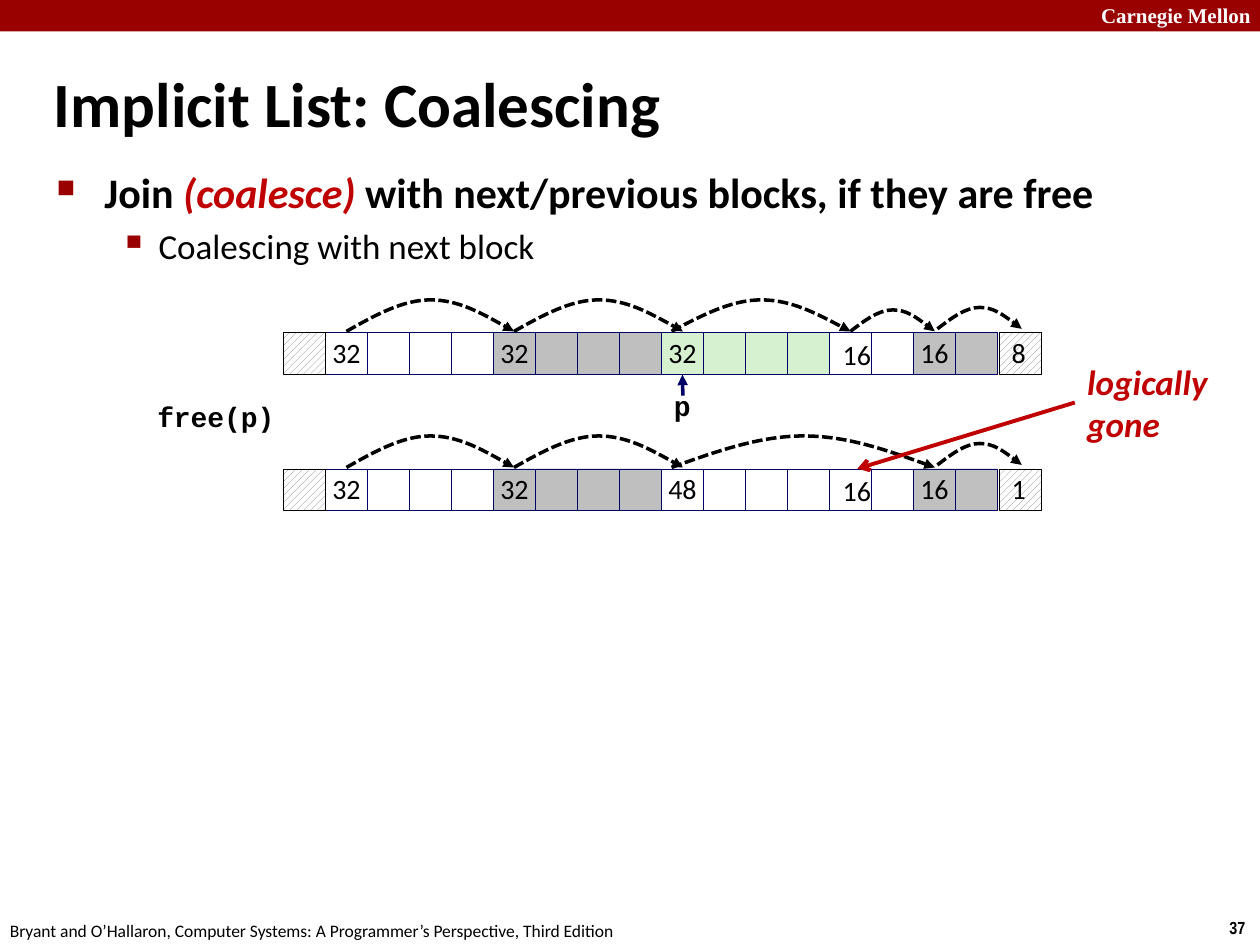
from lxml.etree import SubElement
from pptx import Presentation
from pptx.dml.color import RGBColor
from pptx.enum.dml import MSO_LINE, MSO_PATTERN
from pptx.enum.shapes import MSO_CONNECTOR, MSO_SHAPE
from pptx.enum.text import MSO_ANCHOR, MSO_AUTO_SIZE, PP_ALIGN
from pptx.oxml.ns import qn
from pptx.util import Inches, Pt

COLORS = {
    "banner": "990000", "accent": "C00000", "navy": "000066", "black": "000000",
    "white": "FFFFFF", "gray": "BFBFBF", "silver": "C0C0C0", "green": "D5F1CF",
    "hatch": "808080",
}
CELL = 1 / 3
FIRST_CELL = 2.583
CELL_FILLS = ["white"] * 4 + ["gray"] * 4 + ["green"] * 4 + ["white"] * 2 + ["silver"] * 2


class HeapSlide:
    """Draws the elements of a heap diagram in one style on the current slide."""

    def __init__(self, slide):
        self.shapes = slide.shapes

    def color(self, name):
        return RGBColor.from_string(COLORS[name])

    def format_span(self, span, size, font="Calibri", color="black", bold=False, italic=False):
        span.font.size = Pt(size)
        span.font.name = font
        span.font.color.rgb = self.color(color)
        span.font.bold = bold
        span.font.italic = italic

    def text(self, left, top, width, height, words, size, wrap=False, grow=True,
             anchor=MSO_ANCHOR.TOP, spacing=None, **style):
        box = self.shapes.add_textbox(Inches(left), Inches(top), Inches(width), Inches(height))
        frame = box.text_frame
        frame.text = words
        frame.word_wrap = wrap
        frame.auto_size = MSO_AUTO_SIZE.SHAPE_TO_FIT_TEXT if grow else MSO_AUTO_SIZE.NONE
        frame.vertical_anchor = anchor
        for para in frame.paragraphs:
            para.line_spacing = spacing
            for span in para.runs:
                self.format_span(span, size, **style)
        return box

    def bullet(self, para, symbol, percent, margin, indent, level):
        properties = para._p.get_or_add_pPr()
        properties.set("marL", str(Inches(margin)))
        properties.set("indent", str(Inches(indent)))
        bullet_color = SubElement(properties, qn("a:buClr"))
        SubElement(bullet_color, qn("a:srgbClr"), val=COLORS["banner"])
        SubElement(properties, qn("a:buSzPct"), val=str(percent * 1000))
        SubElement(properties, qn("a:buChar"), char=symbol)
        para.level = level

    def body(self):
        box = self.shapes.add_textbox(Inches(0.35), Inches(1.34), Inches(9.09), Inches(6))
        frame = box.text_frame
        frame.word_wrap = True
        main = frame.paragraphs[0]
        self.bullet(main, "■", 60, 0.38, -0.38, 0)
        main.line_spacing = 0.83
        for words, emphasis in (("Join ", False), ("(coalesce) ", True),
                                ("with next/previous blocks, if they are free", False)):
            span = main.add_run()
            span.text = words
            self.format_span(span, 24, color="accent" if emphasis else "black",
                             bold=True, italic=emphasis)
        detail = frame.add_paragraph()
        self.bullet(detail, "▪", 110, 0.81, -0.31, 1)
        detail.line_spacing = 0.88
        detail.space_before = Pt(7.5)
        span = detail.add_run()
        span.text = "Coalescing with next block"
        self.format_span(span, 20)

    def rectangle(self, left, top, width, height, fill, line=None, words="",
                  align=PP_ALIGN.CENTER, hatched=False):
        shape = self.shapes.add_shape(MSO_SHAPE.RECTANGLE, Inches(left), Inches(top),
                                      Inches(width), Inches(height))
        shape.shadow.inherit = False
        if hatched:
            shape.fill.patterned()
            shape.fill.pattern = MSO_PATTERN.WIDE_UPWARD_DIAGONAL
            shape.fill.fore_color.rgb = self.color("hatch")
            shape.fill.back_color.rgb = self.color(fill)
        else:
            shape.fill.solid()
            shape.fill.fore_color.rgb = self.color(fill)
        if line:
            shape.line.color.rgb = self.color(line)
            shape.line.width = Pt(0.25)
        else:
            shape.line.fill.background()
        if words:
            frame = shape.text_frame
            frame.text = words
            frame.word_wrap = False
            frame.vertical_anchor = MSO_ANCHOR.MIDDLE
            para = frame.paragraphs[0]
            para.alignment = align
            para.line_spacing = 0.98
            self.format_span(para.runs[0], 16)
        return shape

    def arrowhead(self, shape, kind):
        SubElement(shape.line._get_or_add_ln(), qn("a:tailEnd"), type=kind)

    def arc(self, start, end, base, rise):
        width = end - start
        points = [(start + width * step, base - rise * lift) for step, lift in (
            (1 / 6, 0.5), (1 / 3, 1), (1 / 2, 1), (2 / 3, 1), (5 / 6, 0.5), (1, 0))]
        builder = self.shapes.build_freeform(Inches(start), Inches(base))
        builder.add_line_segments([(Inches(x), Inches(y)) for x, y in points], close=False)
        shape = builder.convert_to_shape()
        outline = next(shape.element.iter(qn("a:path")))
        segments = outline.findall(qn("a:lnTo"))
        for group in (segments[:3], segments[3:]):
            curve = SubElement(outline, qn("a:cubicBezTo"))
            for segment in group:
                curve.append(segment[0])
                outline.remove(segment)
        shape.shadow.inherit = False
        shape.fill.background()
        shape.line.color.rgb = self.color("black")
        shape.line.width = Pt(2)
        shape.line.dash_style = MSO_LINE.SQUARE_DOT
        self.arrowhead(shape, "triangle")

    def arrow(self, start, end, color, width, head):
        line = self.shapes.add_connector(MSO_CONNECTOR.STRAIGHT, *map(Inches, start + end))
        line.line.color.rgb = self.color(color)
        line.line.width = Pt(width)
        self.arrowhead(line, head)
        SubElement(line.element.spPr, qn("a:effectLst"))
        return line

    def heap(self, top, fills, sizes, last, arcs):
        cells = [
            self.rectangle(FIRST_CELL + index * CELL, top, CELL, CELL, fill, "navy",
                           sizes.get(index, ""))
            for index, fill in enumerate(fills)
        ]
        label = self.text(6.59, top, 0.43, 0.37, "16", 16, spacing=0.98)
        self.rectangle(2.245, top, CELL, CELL, "white", "black", hatched=True)
        self.rectangle(7.93, top, CELL, CELL, "white", "black", last, PP_ALIGN.LEFT, True)
        for start, end, rise in arcs:
            self.arc(start, end, top - 0.01, rise)
        self.arc(7.44, 8.11, top - 0.03, 0.17)
        return cells, label


def main():
    deck = Presentation()
    deck.slide_width, deck.slide_height = Inches(10), Inches(7.5)
    page = HeapSlide(deck.slides.add_slide(deck.slide_layouts[6]))

    page.rectangle(0, 0, 10, 0.25, "banner")
    page.text(8.64, -0.03, 1.43, 0.3, "Carnegie Mellon", 12, wrap=True,
              font="Times New Roman", color="white", bold=True)
    page.text(9.66, 7.23, 0.34, 0.27, "37", 10, font="Arial Narrow", bold=True)
    page.text(-0.02, 7.25, 5.08, 0.27, "Bryant and O’Hallaron, Computer Systems: "
              "A Programmer’s Perspective, Third Edition", 10)
    page.text(0.33, 0.5, 7.4, 0.63, "Implicit List: Coalescing", 36, wrap=True, grow=False,
              anchor=MSO_ANCHOR.MIDDLE, bold=True)
    page.body()

    shared_arcs = [(2.75, 4.08, 0.25), (4.08, 5.42, 0.25)]
    before, _ = page.heap(2.64, CELL_FILLS, {0: "32", 4: "32", 8: "32", 14: "16"}, "8",
                          shared_arcs + [(5.33, 6.75, 0.25), (6.75, 7.42, 0.17)])
    freed_fills = ["white" if fill == "green" else fill for fill in CELL_FILLS]
    _, gone_size = page.heap(3.72, freed_fills, {0: "32", 4: "32", 8: "48", 14: "16"}, "1",
                             shared_arcs + [(5.33, 7.42, 0.25)])

    code = {"size": 16, "font": "Courier New", "bold": True, "spacing": 0.94}
    page.text(1.15, 3.14, 1.14, 0.36, "free(p)", **code)
    page.text(5.25, 3.06, 0.33, 0.36, "p", **code)
    pointer = page.arrow((5.42, 3.14), (5.42, 2.97), "navy", 2, "triangle")
    pointer.end_connect(before[8], 2)

    remark = page.text(8.53, 2.81, 1.16, 0.77, "logically\ngone", 20, color="accent",
                       bold=True, italic=True)
    callout = page.arrow((8.53, 3.2), (6.81, 3.72), "accent", 2.25, "arrow")
    callout.begin_connect(remark, 1)
    callout.end_connect(gone_size, 0)

    deck.save("out.pptx")


if __name__ == "__main__":
    main()
